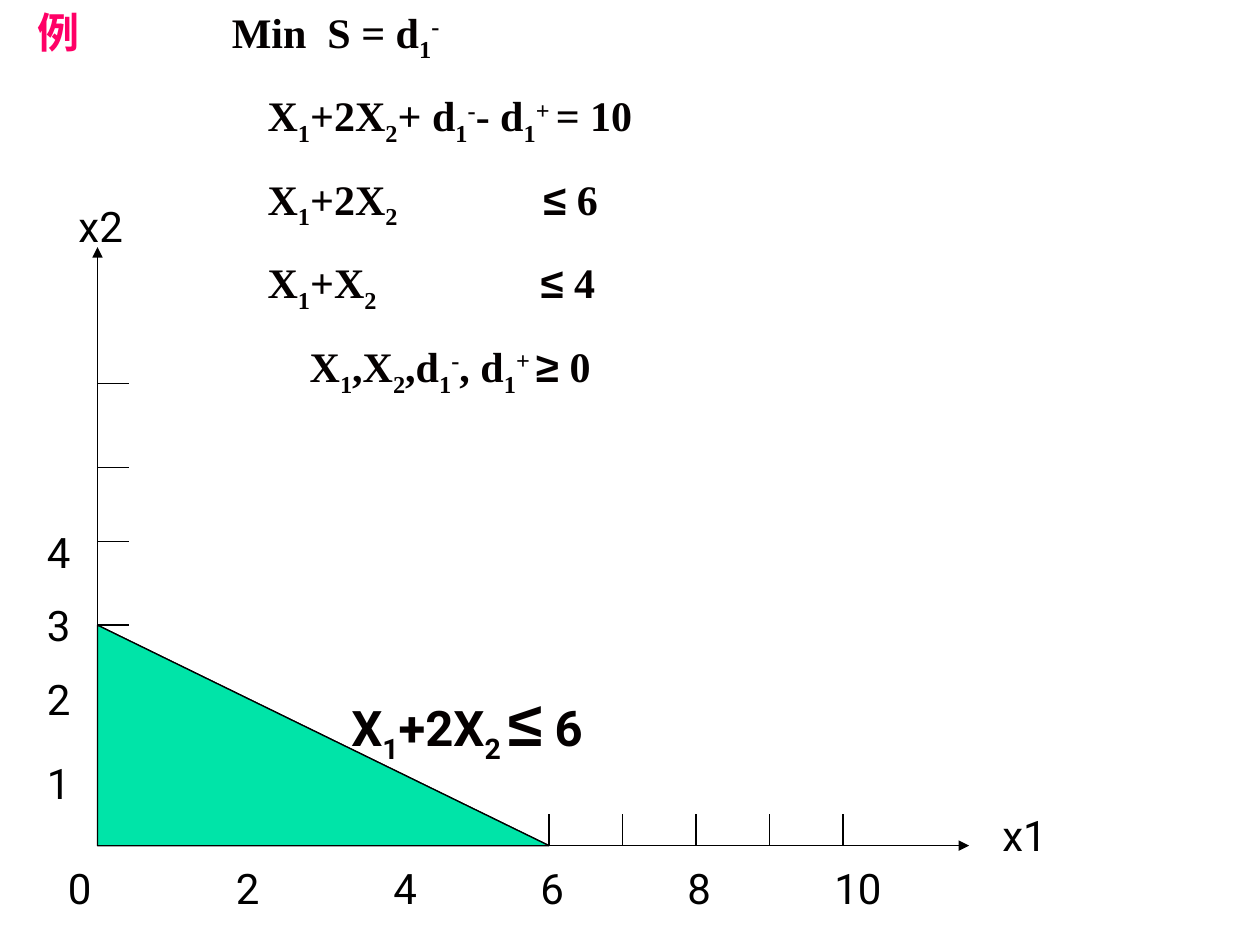
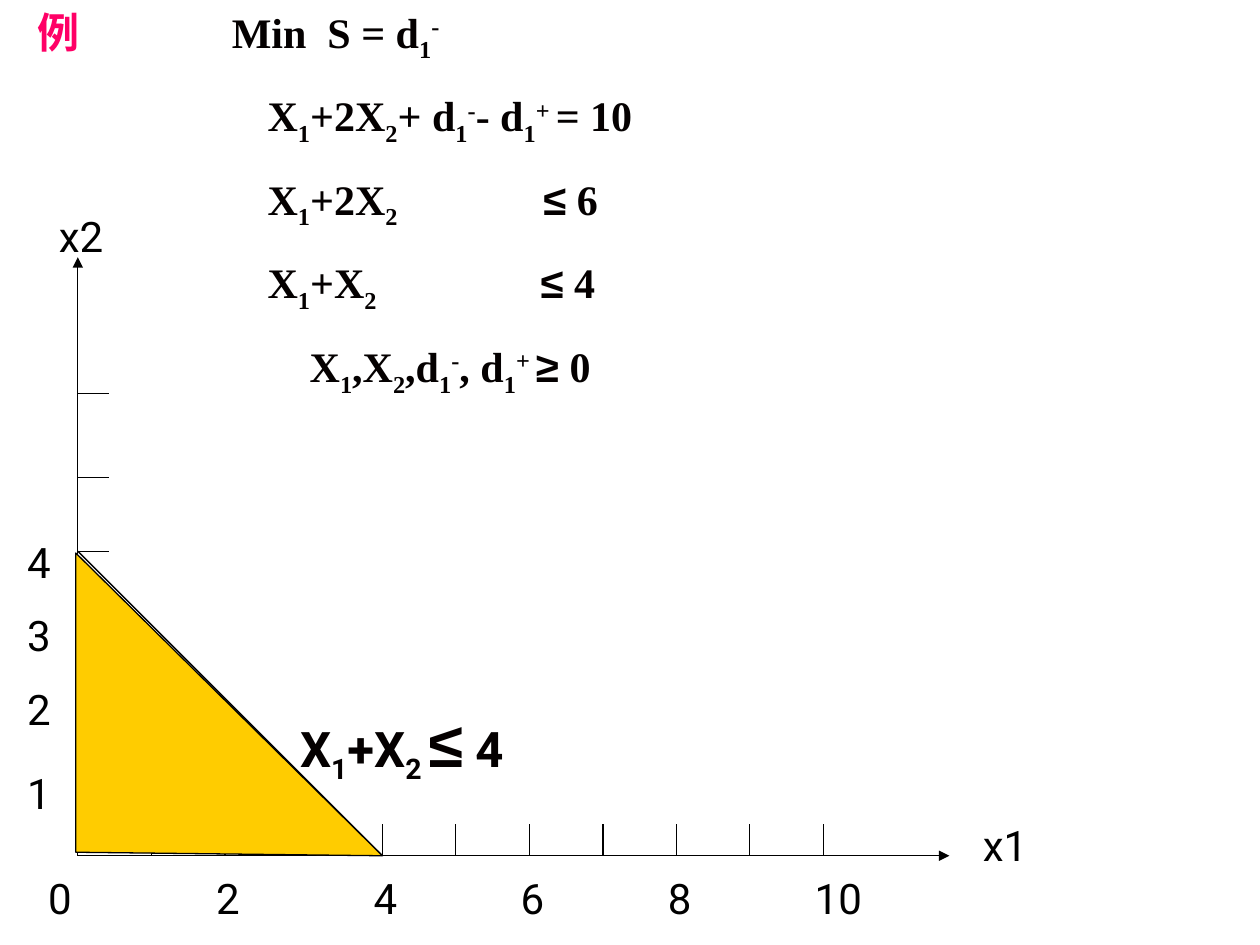
"""Build two slides showing the feasible region of each constraint in a goal programme."""
from lxml import etree
from pptx import Presentation
from pptx import util as u
from pptx.dml import color
from pptx.enum import shapes, text
from pptx.oxml import ns

BLACK, INK, PINK = "000000", "040000", "FF0066"
hue = color.RGBColor.from_string


def write(box, lines, size=24, font="Roboto", ink=BLACK, bold=False, symbol_size=24, gap=0, tabs=()):
    """Fill box with lines whose spans are split by |, where _ lowers, ^ raises and * marks a heading."""
    frame = box.text_frame
    frame.word_wrap = True
    frame.auto_size = text.MSO_AUTO_SIZE.SHAPE_TO_FIT_TEXT
    for index, line in enumerate(lines):
        para = frame.paragraphs[0] if index == 0 else frame.add_paragraph()
        if tabs:
            stops = etree.SubElement(para._p.get_or_add_pPr(), ns.qn("a:tabLst"))
            for stop in tabs[index]:
                etree.SubElement(stops, ns.qn("a:tab"), pos=str(u.Pt(stop)), algn="l")
        para.space_before = u.Pt(gap if index else 0)
        for part in line.split("|"):
            span = para.add_run()
            span.text = part.lstrip("_^*")
            symbol = part in ("≤", "≥")
            span.font.size = u.Pt(symbol_size if symbol else size)
            span.font.name = "Arial" if symbol else font
            span.font.bold = bold
            span.font.color.rgb = hue(PINK if part.startswith("*") else ink)
            if part[0] in "_^":
                span._r.get_or_add_rPr().set("baseline", "-25000" if part[0] == "_" else "30000")


def draw_line(page, start, end, arrow=False):
    """Draw a thin black line between two points, with an arrowhead at its end on request."""
    points = [u.Pt(value) for value in (*start, *end)]
    line = page.shapes.add_connector(shapes.MSO_CONNECTOR.STRAIGHT, *points)
    line.line.color.rgb = hue(BLACK)
    line.line.width = u.Pt(0.75)
    if arrow:
        etree.SubElement(line.line._get_or_add_ln(), ns.qn("a:tailEnd"), type="triangle")
    etree.SubElement(line._element.spPr, ns.qn("a:effectLst"))


MODEL = [
    "*例|\tMin  S = d|_1|^-",
    "\tX|_1|+2X|_2|+ d|_1|^-|- d|_1|^+ |= 10",
    "\tX|_1|+2X|_2|\t|≤| 6",
    "\tX|_1|+X|_2|\t|≤| 4",
    "\tX|_1|,X|_2|,d|_1|^-|, d|_1|^+ |≥| 0",
]
MODEL_TABS = [[111], [131.5], [131.5, 289], [131.5, 287.5], [155.5]]

X_TICKS = [42 * n + (6 if n > 3 else 0) for n in range(1, 11)]
Y_TICKS = [42, 84, 126, 174, 216, 264]
AXIS_LABELS = [("x1", 510, -24, 42), ("x2", -18, -372, 48), ("0", -24, 6, 30)]
AXIS_LABELS += [(str(n), X_TICKS[n - 1] - 12, 6, 42 if n == 10 else 30) for n in range(2, 11, 2)]
AXIS_LABELS += [(str(n), -36, top, 30) for n, top in enumerate((-54, -102, -144, -186), 1)]

REGIONS = [
    dict(origin=(55.75, 483.25), edge=(258, 126), fill="00E4A8",
         corners=[(0, 0), (258, 0), (0, -126)],
         label="X|_1|+2X|_2 |≤| 6", place=(193.7, 387.25, 180, 53)),
    dict(origin=(44.5, 489), edge=(174, 174), fill="FFCC00",
         corners=[(-1.2, -173), (-1.2, -2), (174, 0)],
         label="X|_1|+X|_2 |≤| 4", place=(164.4, 399, 168, 53)),
]

deck = Presentation()
deck.slide_width, deck.slide_height = u.Pt(720), u.Pt(540)

for region in REGIONS:
    page = deck.slides.add_slide(deck.slide_layouts[6])
    left, base = region["origin"]

    draw_line(page, (left, base), (left + 498, base), arrow=True)
    draw_line(page, (left, base), (left, base - 342), arrow=True)
    for tick in X_TICKS:
        draw_line(page, (left + tick, base), (left + tick, base - 18))
    for tick in Y_TICKS:
        draw_line(page, (left, base - tick), (left + 18, base - tick))

    for name, across, down, width in AXIS_LABELS:
        box = page.shapes.add_textbox(u.Pt(left + across), u.Pt(base + down), u.Pt(width), u.Pt(36))
        write(box, [name])

    reach, rise = region["edge"]
    draw_line(page, (left, base - rise), (left + reach, base))
    corners = [(u.Pt(left + x), u.Pt(base + y)) for x, y in region["corners"]]
    outline = page.shapes.build_freeform(*corners[0])
    outline.add_line_segments(corners[1:], close=True)
    area = outline.convert_to_shape()
    area.shadow.inherit = False
    area.fill.solid()
    area.fill.fore_color.rgb = hue(region["fill"])
    area.line.color.rgb = hue(BLACK)
    area.line.width = u.Pt(0.75)

    box = page.shapes.add_textbox(*[u.Pt(value) for value in region["place"]])
    write(box, [region["label"]], size=28, ink=INK, bold=True, symbol_size=36)

    box = page.shapes.add_textbox(u.Pt(14.4), u.Pt(0), u.Pt(618), u.Pt(231))
    write(box, MODEL, font="Times New Roman", ink=INK, bold=True, gap=15, tabs=MODEL_TABS)

deck.save("out.pptx")
